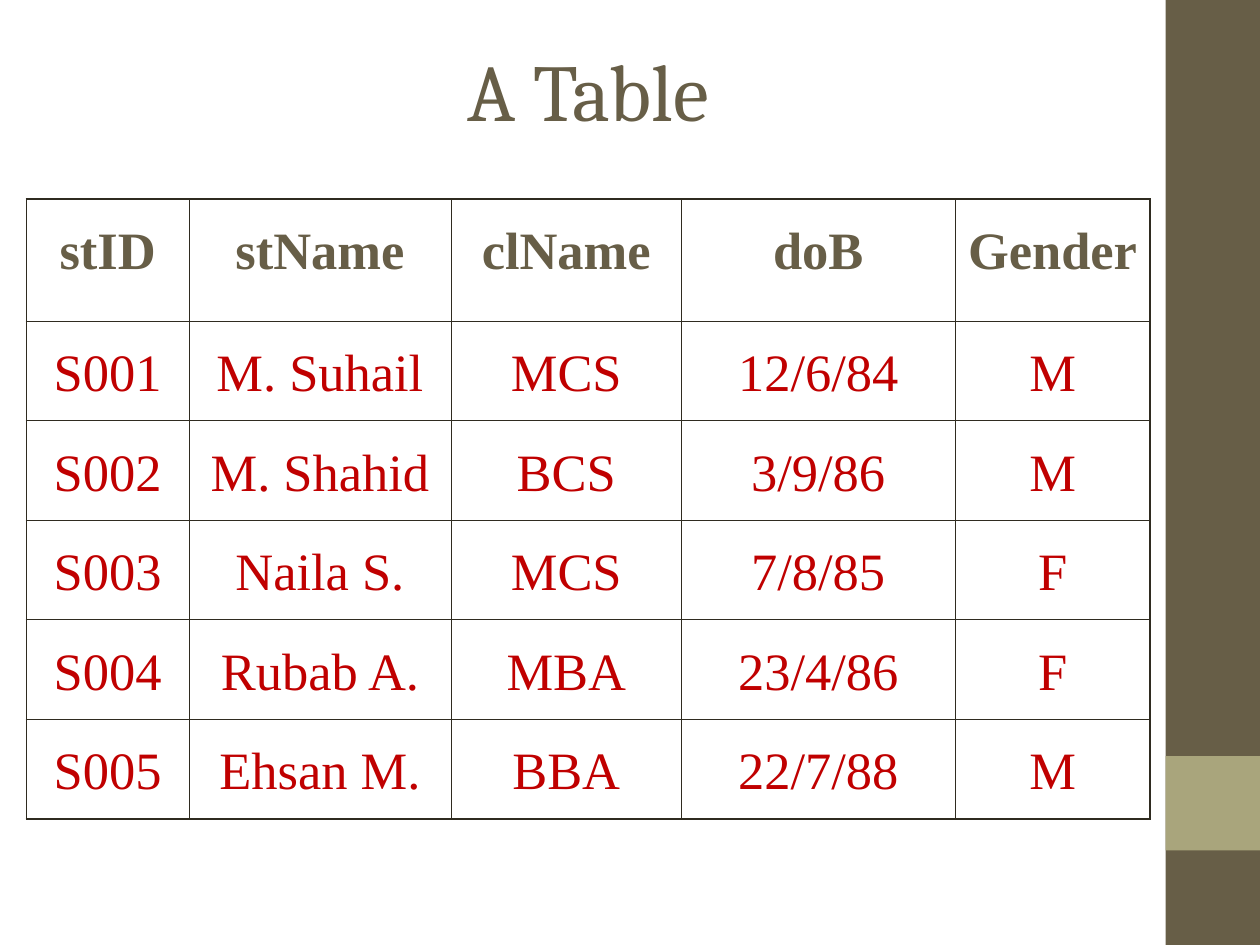
from dataclasses import dataclass

from lxml.etree import SubElement
from pptx import Presentation
from pptx.dml.color import RGBColor
from pptx.enum.shapes import MSO_SHAPE
from pptx.enum.text import MSO_ANCHOR, PP_ALIGN
from pptx.oxml.ns import qn
from pptx.slide import Slide
from pptx.table import _Cell
from pptx.text.text import _Paragraph
from pptx.util import Inches, Pt

BROWN = RGBColor(0x67, 0x5E, 0x47)
OLIVE = RGBColor(0xA9, 0xA5, 0x7C)
RED = RGBColor(0xC0, 0x00, 0x00)
RULE = RGBColor(0x2F, 0x2B, 0x20)

OUTER_RULE, INNER_RULE = Pt(1.08), Pt(0.45)
COLUMN_WIDTHS = (1.29, 2.08, 1.83, 2.17, 1.55)
HEADER_HEIGHT, RECORD_HEIGHT = 0.97, 0.79
SIDE_MARGIN = Inches(0.08)


@dataclass(frozen=True)
class Band:
    top: float
    height: float
    color: RGBColor


@dataclass(frozen=True)
class Student:
    id: str
    name: str
    class_name: str
    birth_date: str
    gender: str

    def fields(self) -> tuple[str, ...]:
        return self.id, self.name, self.class_name, self.birth_date, self.gender


SIDE_BANDS = (Band(0, 7.5, BROWN), Band(6, 0.75, OLIVE))
HEADINGS = ("stID", "stName", "clName", "doB", "Gender")
STUDENTS = (
    Student("S001", "M. Suhail", "MCS", "12/6/84", "M"),
    Student("S002", "M. Shahid", "BCS", "3/9/86", "M"),
    Student("S003", "Naila S.", "MCS", "7/8/85", "F"),
    Student("S004", "Rubab A.", "MBA", "23/4/86", "F"),
    Student("S005", "Ehsan M.", "BBA", "22/7/88", "M"),
)


def write(paragraph: _Paragraph, text: str, font: str, size: float,
          color: RGBColor, bold: bool = False) -> None:
    paragraph.text = text
    paragraph.alignment = PP_ALIGN.CENTER
    paragraph.font.name = font
    paragraph.font.size = Pt(size)
    paragraph.font.bold = bold
    paragraph.font.color.rgb = color


def add_band(slide: Slide, band: Band) -> None:
    rect = slide.shapes.add_shape(MSO_SHAPE.RECTANGLE, Inches(9.25), Inches(band.top),
                                  Inches(0.75), Inches(band.height))
    rect.shadow.inherit = False
    rect.fill.solid()
    rect.fill.fore_color.rgb = band.color
    rect.line.fill.background()


def add_title(slide: Slide, text: str) -> None:
    frame = slide.shapes.add_textbox(Inches(0.42), Inches(0.08),
                                     Inches(8.5), Inches(1.25)).text_frame
    frame.word_wrap = True
    frame.vertical_anchor = MSO_ANCHOR.MIDDLE
    write(frame.paragraphs[0], text, "Cambria", 46, BROWN)


def set_borders(cell: _Cell, outer_sides: dict[str, bool]) -> None:
    properties = cell._tc.get_or_add_tcPr()
    # Border lines must come before the cell fill
    for position, (side, is_outer) in enumerate(outer_sides.items()):
        width = OUTER_RULE if is_outer else INNER_RULE
        line = SubElement(properties, qn(f"a:ln{side}"), w=str(int(width)))
        fill = SubElement(line, qn("a:solidFill"))
        SubElement(fill, qn("a:srgbClr"), val=str(RULE))
        properties.insert(position, line)


def add_student_table(slide: Slide) -> None:
    rows = [HEADINGS, *(student.fields() for student in STUDENTS)]
    heights = [HEADER_HEIGHT] + [RECORD_HEIGHT] * len(STUDENTS)
    table = slide.shapes.add_table(len(rows), len(HEADINGS), Inches(0.21), Inches(1.58),
                                   Inches(sum(COLUMN_WIDTHS)), Inches(sum(heights))).table
    table.horz_banding = False
    for column, width in zip(table.columns, COLUMN_WIDTHS):
        column.width = Inches(width)
    for row, height in zip(table.rows, heights):
        row.height = Inches(height)

    for r, values in enumerate(rows):
        is_header = r == 0
        for c, value in enumerate(values):
            cell = table.cell(r, c)
            cell.margin_left = cell.margin_right = SIDE_MARGIN
            cell.fill.background()
            set_borders(cell, {"L": c == 0, "R": c == len(HEADINGS) - 1,
                               "T": is_header, "B": r == len(rows) - 1})
            paragraph = cell.text_frame.paragraphs[0]
            paragraph.line_spacing = 1.3
            write(paragraph, value, "Times New Roman", 30,
                  BROWN if is_header else RED, bold=is_header)


def main() -> None:
    presentation = Presentation()
    presentation.slide_width, presentation.slide_height = Inches(10), Inches(7.5)
    slide = presentation.slides.add_slide(presentation.slide_layouts[6])

    # Side strip
    for band in SIDE_BANDS:
        add_band(slide, band)

    # Title and student records
    add_title(slide, "A Table")
    add_student_table(slide)

    presentation.save("out.pptx")


if __name__ == "__main__":
    main()
